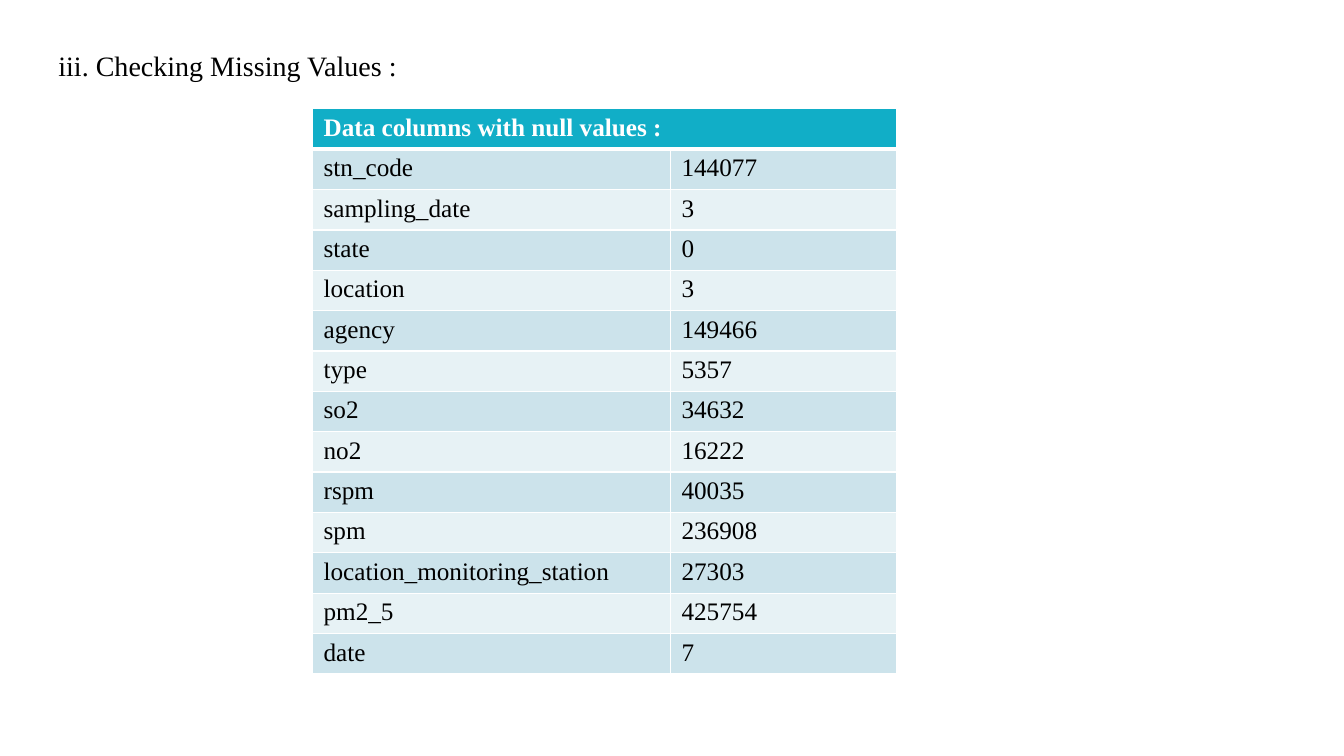
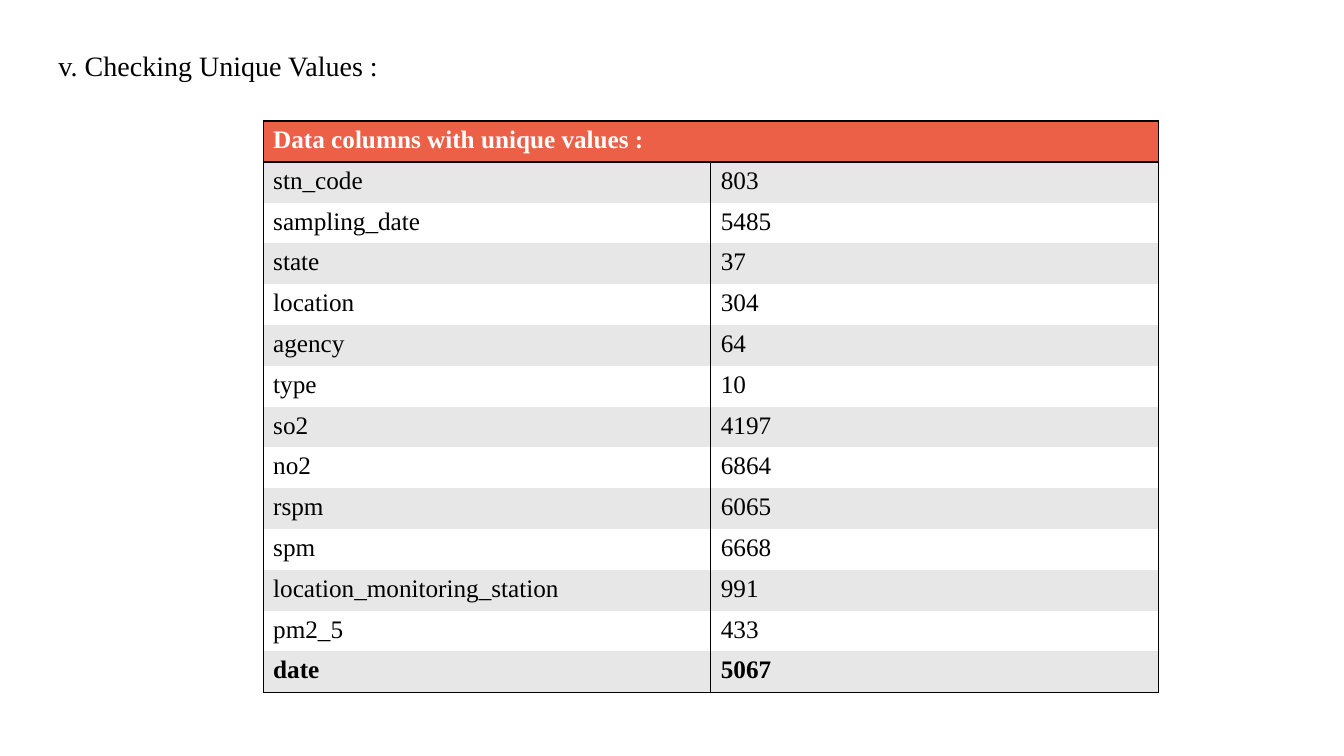
from dataclasses import dataclass

from lxml import etree
from pptx import Presentation
from pptx.dml.color import RGBColor
from pptx.enum import text
from pptx.oxml import ns
from pptx.util import Inches, Pt

FONT = "Times New Roman"
BLACK = RGBColor(0x00, 0x00, 0x00)
WHITE = RGBColor(0xFF, 0xFF, 0xFF)
TEAL = RGBColor(0x11, 0xAE, 0xC7)
TEAL_BAND = RGBColor(0xCC, 0xE3, 0xEB)
TEAL_PALE = RGBColor(0xE7, 0xF2, 0xF5)
CORAL = RGBColor(0xEB, 0x60, 0x47)
GREY_BAND = RGBColor(0xE7, 0xE7, 0xE7)

FIELDS = (
    "stn_code", "sampling_date", "state", "location", "agency", "type", "so2",
    "no2", "rspm", "spm", "location_monitoring_station", "pm2_5", "date",
)


@dataclass(frozen=True)
class TableStyle:
    header: RGBColor
    bands: tuple[RGBColor, RGBColor]
    line: RGBColor
    header_rule: float
    row_rule: float
    inset: float
    bold_last: bool


@dataclass(frozen=True)
class CountSlide:
    title: str
    heading: str
    counts: tuple[int, ...]
    left: float
    top: float
    widths: tuple[float, float]
    height: float
    style: TableStyle


TEAL_GRID = TableStyle(TEAL, (TEAL_BAND, TEAL_PALE), WHITE, 3, 1, 0.11, False)
CORAL_BOX = TableStyle(CORAL, (GREY_BAND, WHITE), BLACK, 2, 0, 0.1, True)

SLIDES = (
    CountSlide(
        "iii. Checking Missing Values :", "Data columns with null values :",
        (144077, 3, 0, 3, 149466, 5357, 34632, 16222, 40035, 236908, 27303, 425754, 7),
        3.1, 1.08, (3.55, 2.24), 5.6, TEAL_GRID,
    ),
    CountSlide(
        "v. Checking Unique Values :", "Data columns with unique values :",
        (803, 5485, 37, 304, 64, 10, 4197, 6864, 6065, 6668, 991, 433, 5067),
        2.61, 1.2, (4.44, 4.44), 5.67, CORAL_BOX,
    ),
)


def add_run(p, content: str, size: int, color: RGBColor, bold: bool = False) -> None:
    """Add one formatted run to a paragraph."""
    r = p.add_run()
    r.text = content
    r.font.name = FONT
    r.font.size = Pt(size)
    r.font.bold = bold
    r.font.color.rgb = color


def add_title(s, content: str) -> None:
    """Place and format the slide title."""
    sp = s.shapes.title
    sp.left, sp.top, sp.width, sp.height = map(Inches, (0.48, 0.43, 5.98, 0.44))
    tf = sp.text_frame
    tf.word_wrap = True
    tf.auto_size = text.MSO_AUTO_SIZE.SHAPE_TO_FIT_TEXT
    tf.vertical_anchor = text.MSO_ANCHOR.TOP
    p = tf.paragraphs[0]
    p.alignment = text.PP_ALIGN.LEFT
    add_run(p, content, 20, BLACK)


def set_border(cell, side: str, width: float, color: RGBColor) -> None:
    """Draw one cell edge, or clear it when the width is zero."""
    ln = etree.SubElement(cell._tc.get_or_add_tcPr(), ns.qn(f"a:ln{side}"))
    ln.set("w", str(Pt(width)))
    if width:
        fill = etree.SubElement(ln, ns.qn("a:solidFill"))
        etree.SubElement(fill, ns.qn("a:srgbClr")).set("val", str(color))
    else:
        etree.SubElement(ln, ns.qn("a:noFill"))


def add_count_table(s, data: CountSlide) -> None:
    """Add a banded table with one count per data column."""
    style = data.style
    rows = [(data.heading, "")] + [(f, str(n)) for f, n in zip(FIELDS, data.counts, strict=True)]
    last = len(rows) - 1
    rules = [1, style.header_rule] + [style.row_rule] * (last - 1) + [1]
    table = s.shapes.add_table(
        len(rows), 2, Inches(data.left), Inches(data.top),
        Inches(sum(data.widths)), Inches(data.height),
    ).table
    for column, width in zip(table.columns, data.widths):
        column.width = Inches(width)
    table.cell(0, 0).merge(table.cell(0, 1))
    for i, values in enumerate(rows):
        header = i == 0
        for j, value in enumerate(values):
            cell = table.cell(i, j)
            cell.margin_left = cell.margin_right = Inches(style.inset)
            for side, width in zip("LRTB", (1, 1, rules[i], rules[i + 1])):
                set_border(cell, side, width, style.line)
            cell.fill.solid()
            cell.fill.fore_color.rgb = style.header if header else style.bands[(i - 1) % 2]
            if value:
                bold = header or (style.bold_last and i == last)
                add_run(cell.text_frame.paragraphs[0], value, 18, WHITE if header else BLACK, bold)


def main() -> None:
    """Build and save the presentation."""
    prs = Presentation()
    prs.slide_width, prs.slide_height = Inches(13.33), Inches(7.5)
    for data in SLIDES:
        s = prs.slides.add_slide(prs.slide_layouts[5])
        add_title(s, data.title)
        add_count_table(s, data)
    prs.save("out.pptx")


if __name__ == "__main__":
    main()
